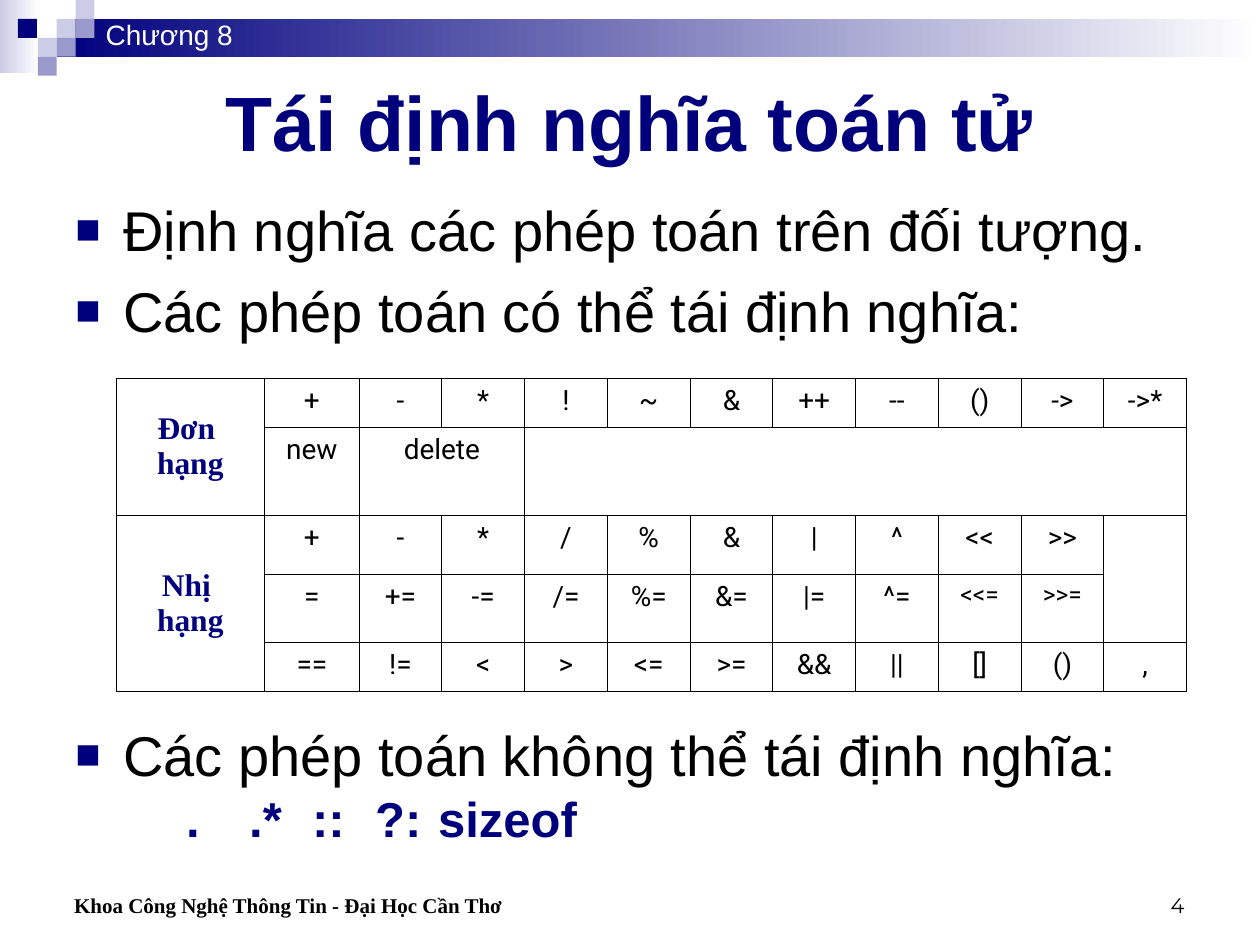
from lxml.etree import SubElement
from pptx import Presentation
from pptx.dml.color import RGBColor as RGB
from pptx.enum.shapes import MSO_SHAPE as Shape
from pptx.enum.text import MSO_ANCHOR as Anchor, MSO_AUTO_SIZE as AutoSize, PP_ALIGN as Align
from pptx.oxml.ns import qn
from pptx.util import Inches, Pt

THEME = {
    "navy": RGB(0x00, 0x00, 0x7D),
    "lilac": RGB(0x99, 0x99, 0xCC),
    "mist": RGB(0xCC, 0xCC, 0xE6),
    "white": RGB(0xFF, 0xFF, 0xFF),
    "black": RGB(0x00, 0x00, 0x00),
    "title": {"name": "Arial", "size": Pt(44), "bold": True},
    "body": {"name": "Arial", "size": Pt(32), "bold": False},
    "keyword": {"name": "Arial", "size": Pt(28), "bold": True},
    "chapter": {"name": "Arial", "size": Pt(16), "bold": False},
    "arity": {"name": "Times New Roman", "size": Pt(18), "bold": True},
    "operator": {"name": "Roboto", "size": Pt(16), "bold": False},
    "long operator": {"name": "Roboto", "size": Pt(14), "bold": False},
    "footer": {"name": "Times New Roman", "size": Pt(12), "bold": True},
    "number": {"name": "Montserrat", "size": Pt(12), "bold": False},
}


def write(paragraph, text, style, color, **layout):
    for key, value in layout.items():
        setattr(paragraph, key, value)
    run = paragraph.add_run()
    run.text = text
    for key, value in THEME[style].items():
        setattr(run.font, key, value)
    run.font.color.rgb = THEME[color]


def add_bullet(paragraph):
    props = paragraph._p.get_or_add_pPr()
    props.set("marL", str(Inches(0.38)))
    props.set("indent", str(-Inches(0.38)))
    bullet_color = SubElement(props, qn("a:buClr"))
    SubElement(bullet_color, qn("a:srgbClr"), val=str(THEME["navy"]))
    SubElement(props, qn("a:buSzPct"), val="75000")
    SubElement(props, qn("a:buFont"), typeface="Arial")
    SubElement(props, qn("a:buChar"), char="■")


deck = Presentation()
deck.slide_width, deck.slide_height = Inches(10), Inches(7.5)
W, H = deck.slide_width, deck.slide_height
slide = deck.slides.add_slide(deck.slide_layouts[5])

unit = W * 0.015
header_blocks = [
    (0, 0, 2.07, 3.87, "mist", True),
    (3, 1, 63.67, 2, "navy", True),
    (3, 1, 1, 1, "mist", False),
    (4, 0, 1, 1, "mist", False),
    (4, 1, 1, 1, "lilac", False),
    (2, 2, 1, 1, "mist", False),
    (0.95, 1, 1, 1, "navy", False),
    (3, 2, 1, 1, "lilac", False),
    (2, 3, 1, 1, "lilac", False),
]
for col, row, wide, high, color, fades in header_blocks:
    block = slide.shapes.add_shape(Shape.RECTANGLE, *(int(n * unit) for n in (col, row, wide, high)))
    block.shadow.inherit = False
    block.line.fill.background()
    if fades:
        block.fill.gradient()
        block.fill.gradient_angle = 180
        for stop, tone in zip(block.fill.gradient_stops, ("white", color)):
            stop.color.rgb = THEME[tone]
    else:
        block.fill.solid()
        block.fill.fore_color.rgb = THEME[color]

heading = slide.shapes.title
heading_format = {"left": int(W * 0.05), "top": Inches(0.5), "width": int(W * 0.9), "height": Inches(0.92)}
for key, value in heading_format.items():
    setattr(heading, key, value)
heading.text_frame.auto_size = AutoSize.NONE
heading.text_frame.vertical_anchor = Anchor.MIDDLE
write(heading.text_frame.paragraphs[0], "Tái định nghĩa toán tử", "title", "navy", alignment=Align.CENTER)

areas = {
    "intro": (0.5, 1.5, 9, 1.33, Anchor.TOP),
    "exceptions": (0.5, 5.67, 9, 1.33, Anchor.TOP),
    "chapter": (0.74, 0.09, 1.75, 0.37, Anchor.TOP),
    "faculty": (0.25, 6.83, 4.83, 0.5, Anchor.BOTTOM),
    "page": (7.17, 6.83, 2.33, 0.5, Anchor.BOTTOM),
}
frames = {}
for part, (*place, anchor) in areas.items():
    frames[part] = slide.shapes.add_textbox(*map(Inches, place)).text_frame
    frames[part].word_wrap = True
    frames[part].vertical_anchor = anchor

definition = frames["intro"].paragraphs[0]
overloadable = frames["intro"].add_paragraph()
forbidden = frames["exceptions"].paragraphs[0]
for point, text, gap in [
    (definition, "Định nghĩa các phép toán trên đối tượng.", 0),
    (overloadable, "Các phép toán có thể tái định nghĩa:", 8),
    (forbidden, "Các phép toán không thể tái định nghĩa:", 0),
]:
    add_bullet(point)
    write(point, text, "body", "black", space_before=Pt(gap))

keywords = frames["exceptions"].add_paragraph()
keyword_props = keywords._p.get_or_add_pPr()
keyword_props.set("marL", str(Inches(0.38)))
keyword_props.set("indent", str(-Inches(0.38)))
tab_stops = SubElement(keyword_props, qn("a:tabLst"))
for inch in range(8):
    SubElement(tab_stops, qn("a:tab"), pos=str(Inches(inch)), algn="l")
write(keywords, "\t\t", "body", "black", space_before=Pt(7), line_spacing=0.7)
write(keywords, ".\t.*\t::\t?:\tsizeof", "keyword", "navy")

write(frames["chapter"].paragraphs[0], "Chương 8", "chapter", "white")
faculty = frames["faculty"].paragraphs[0]
faculty._p.get_or_add_pPr().set("marL", str(Inches(0.24)))
write(faculty, "Khoa Công Nghệ Thông Tin - Đại Học Cần Thơ", "footer", "black")
write(frames["page"].paragraphs[0], "4", "number", "black", alignment=Align.RIGHT)

operators = [
    ["+", "-", "*", "!", "~", "&", "++", "--", "()", "->", "->*"],
    ["new", "delete"],
    ["+", "-", "*", "/", "%", "&", "|", "^", "<<", ">>"],
    ["=", "+=", "-=", "/=", "%=", "&=", "|=", "^=", "<<=", ">>="],
    ["==", "!=", "<", ">", "<=", ">=", "&&", "||", "[]", "()", ","],
]
row_heights = [0.39, 0.7, 0.47, 0.54, 0.39]
lead_widths = [1.18, 0.75]
column_widths = lead_widths + [(8.5 - sum(lead_widths)) / 10] * 10
table = slide.shapes.add_table(
    len(row_heights), len(column_widths), Inches(0.92), Inches(3), Inches(8.5), Inches(sum(row_heights))
).table
table.first_row = table.horz_banding = False
for column, width in zip(table.columns, column_widths):
    column.width = Inches(width)
for row, height in zip(table.rows, row_heights):
    row.height = Inches(height)

for cell in table.iter_cells():
    cell_props = cell._tc.get_or_add_tcPr()
    for side in ("a:lnL", "a:lnR", "a:lnT", "a:lnB"):
        border = SubElement(cell_props, qn(side), w=str(Pt(0.45)))
        SubElement(SubElement(border, qn("a:solidFill")), qn("a:srgbClr"), val=str(THEME["black"]))
    cell.fill.background()

for top, left, bottom, right in [(0, 0, 1, 0), (2, 0, 4, 0), (1, 2, 1, 3), (1, 4, 1, 11), (2, 11, 3, 11)]:
    table.cell(top, left).merge(table.cell(bottom, right))

for row, symbols in enumerate(operators):
    for col, symbol in enumerate(symbols, 1):
        style = "long operator" if symbol in ("<<=", ">>=") else "operator"
        write(table.cell(row, col).text_frame.paragraphs[0], symbol, style, "black", alignment=Align.CENTER)

for row, arity in [(0, "Đơn "), (2, "Nhị ")]:
    label = table.cell(row, 0)
    label.vertical_anchor = Anchor.MIDDLE
    write(label.text_frame.paragraphs[0], arity, "arity", "navy", alignment=Align.CENTER)
    write(label.text_frame.add_paragraph(), "hạng", "arity", "navy", alignment=Align.CENTER)

deck.save("out.pptx")
